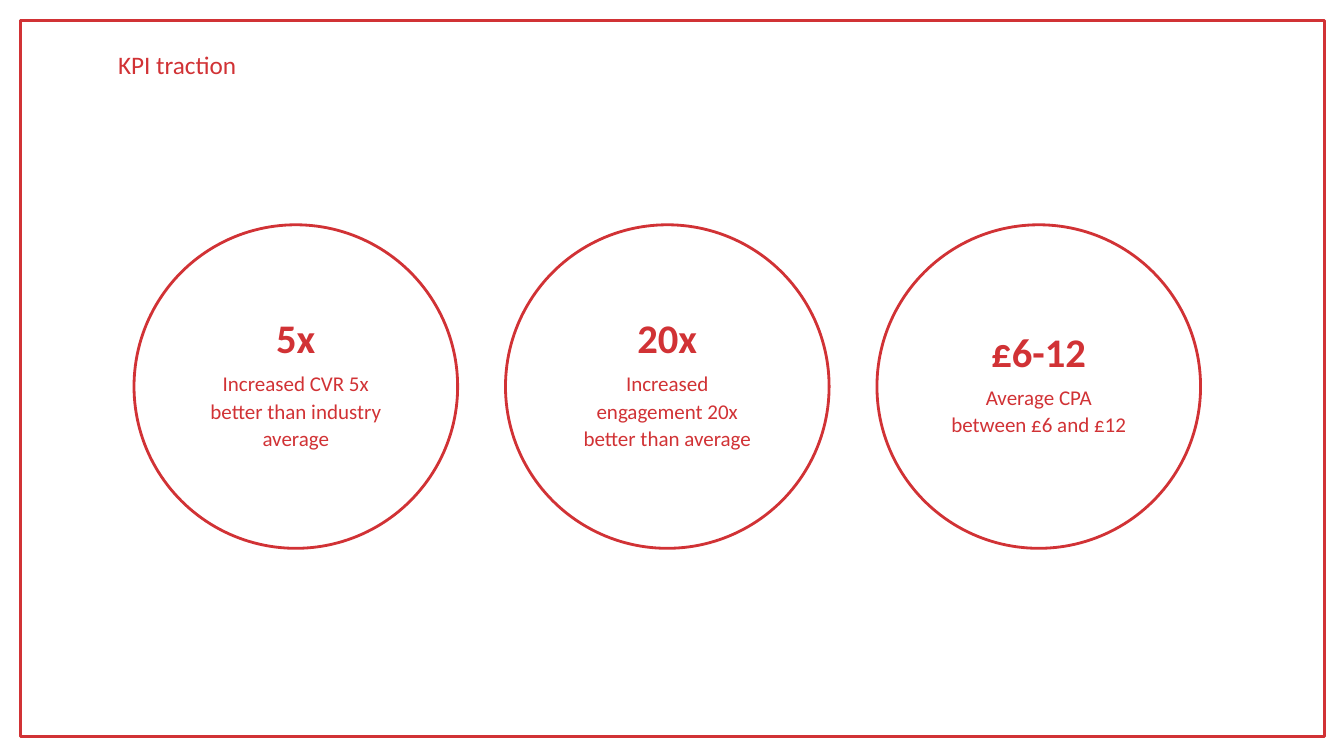
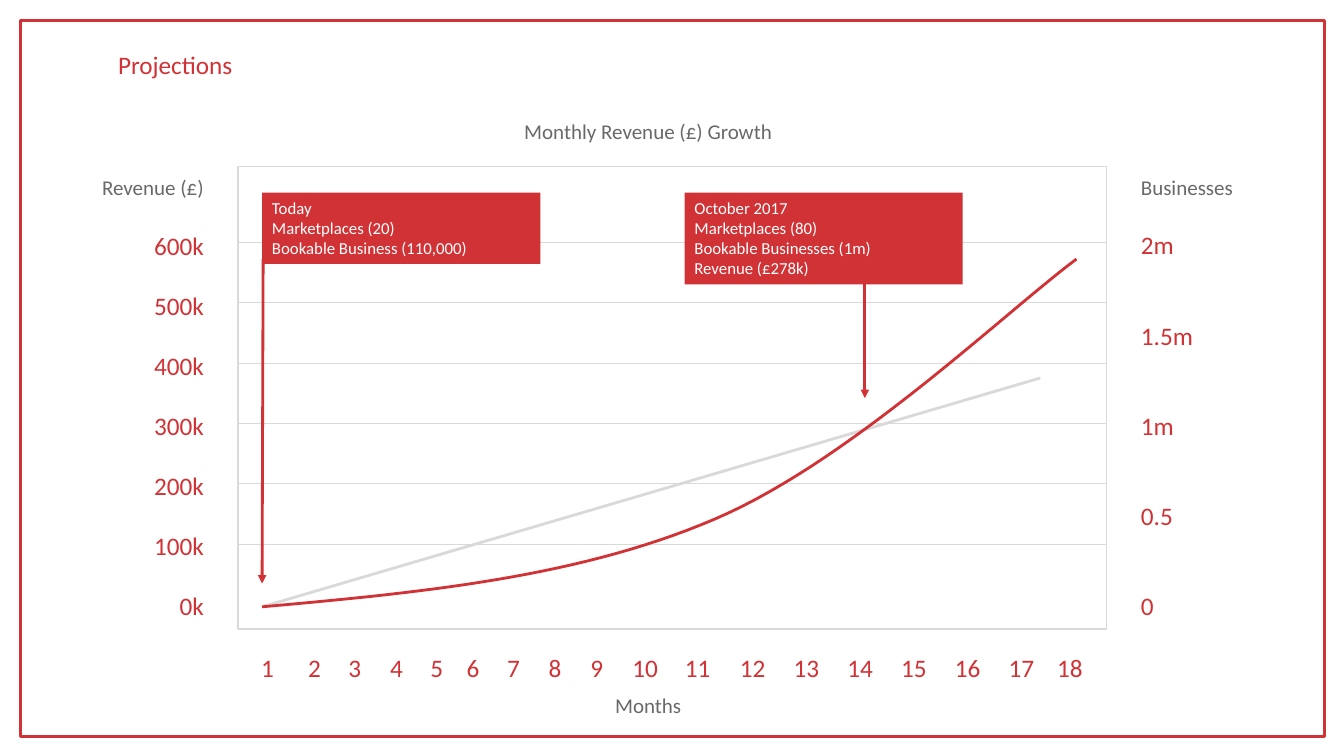
from dataclasses import dataclass

from lxml import etree
from pptx import Presentation
from pptx.dml.color import RGBColor
from pptx.enum.shapes import MSO_CONNECTOR, MSO_SHAPE
from pptx.enum.text import MSO_ANCHOR, MSO_AUTO_SIZE, PP_ALIGN
from pptx.oxml.ns import qn
from pptx.util import Inches, Pt

LEFT, CENTER, RIGHT = PP_ALIGN.LEFT, PP_ALIGN.CENTER, PP_ALIGN.RIGHT
TOP, MIDDLE = MSO_ANCHOR.TOP, MSO_ANCHOR.MIDDLE
RECT, OVAL = MSO_SHAPE.RECTANGLE, MSO_SHAPE.OVAL
STRAIGHT = MSO_CONNECTOR.STRAIGHT
NO_FIT = MSO_AUTO_SIZE.NONE


@dataclass(frozen=True)
class Theme:
    """Hold the colours, type sizes, line widths and slide size."""
    red: str = "D13235"
    pale: str = "D9D9D9"
    grey: str = "696969"
    white: str = "FFFFFF"
    font: str = "Calibri"
    big: int = 29
    head: int = 18
    body: int = 15
    small: int = 12
    bold: float = 2
    thin: float = 0.5
    wide: int = Inches(13.33)
    high: int = Inches(7.5)


THEME = Theme()

KPIS = (
    ("5x", ("Increased CVR 5x", "better than industry", "average")),
    ("20x", ("Increased", "engagement 20x", "better than average")),
    ("£6-12", ("Average CPA", "between £6 and £12")),
)
MONTHS = (19.9, 23.4, 26.4, 29.5, 32.5, 35.2, 38.2, 41.3, 44.4,
          48, 51.9, 56, 60, 64, 68, 72, 76, 79.6)
NOTES = (
    (19.5, ("Today", "Marketplaces (20)", "Bookable Business (110,000)")),
    (50.93, ("October 2017", "Marketplaces (80)",
             "Bookable Businesses (1m)", "Revenue (£278k)")),
)
ARROWS = (((19.58, 34.27), (19.5, 77.2)), ((64.35, 37.6), (64.35, 52.67)))
CURVE = (
    ((19.5, 80.27), (31.28, 78.4), (43.05, 76.4), (53.18, 68.67)),
    ((53.18, 68.67), (63.23, 61.07), (74.78, 41.33), (80.1, 34.27)),
)
PLOT = (17.7, 22, 64.65, 61.2)


def spot(x, y):
    """Turn percent shares of the slide into a point."""
    return round(THEME.wide * x / 100), round(THEME.high * y / 100)


def area(left, top, width, height):
    """Turn percent shares of the slide into a box."""
    return *spot(left, top), *spot(width, height)


def write(frame, text, size=THEME.body, color=THEME.red, bold=False,
          align=LEFT, before=None, after=None, line=None):
    """Add one formatted paragraph to a text frame."""
    para = frame.paragraphs[0]
    if para.runs:
        para = frame.add_paragraph()
        para.space_before = before
    para.alignment, para.space_after, para.line_spacing = align, after, line
    run = para.add_run()
    run.text = text
    font = run.font
    font.name, font.size, font.bold = THEME.font, Pt(size), bold
    font.color.rgb = RGBColor.from_string(color)


def stroke(item, color, width):
    """Set the colour and width of an outline."""
    item.line.color.rgb = RGBColor.from_string(color)
    item.line.width = Pt(width)


def shape(slide, kind, box, fill=None, line=None, width=THEME.bold):
    """Draw a preset shape with a plain fill and outline."""
    item = slide.shapes.add_shape(kind, *area(*box))
    item.shadow.inherit = False
    if fill:
        item.fill.solid()
        item.fill.fore_color.rgb = RGBColor.from_string(fill)
    else:
        item.fill.background()
    if line:
        stroke(item, line, width)
    else:
        item.line.fill.background()
    return item


def label(slide, box, anchor=TOP):
    """Add a wrapping text box and return its frame."""
    frame = slide.shapes.add_textbox(*area(*box)).text_frame
    frame.word_wrap, frame.vertical_anchor = True, anchor
    return frame


def rule(slide, start, end, color, width, arrow=False):
    """Draw a straight line, with an arrowhead if asked."""
    item = slide.shapes.add_connector(STRAIGHT, *spot(*start), *spot(*end))
    stroke(item, color, width)
    props = item.element.spPr
    if arrow:
        etree.SubElement(props.find(qn("a:ln")), qn("a:tailEnd"), type="triangle")
    etree.SubElement(props, qn("a:effectLst"))


def bend(nodes, part):
    """Find the point at a given part of a cubic curve."""
    rest = 1 - part
    rates = (rest ** 3, 3 * rest ** 2 * part, 3 * rest * part ** 2, part ** 3)
    return spot(*(sum(r * v for r, v in zip(rates, axis)) for axis in zip(*nodes)))


def curve(slide, parts, steps=30):
    """Draw an open smooth line through cubic parts."""
    dots = [bend(nodes, n / steps) for nodes in parts for n in range(1, steps + 1)]
    pen = slide.shapes.build_freeform(*spot(*parts[0][0]))
    pen.add_line_segments(dots, close=False)
    item = pen.convert_to_shape()
    item.shadow.inherit = False
    item.fill.background()
    stroke(item, THEME.red, THEME.bold)


def page(deck, layout, title):
    """Add a slide with its title."""
    slide = deck.slides.add_slide(layout)
    item = slide.shapes.title
    item.left, item.top, item.width, item.height = area(1.43, 2.67, 97.05, 11.73)
    frame = item.text_frame
    frame.auto_size, frame.vertical_anchor = NO_FIT, MIDDLE
    frame.margin_left, frame.margin_right = Inches(0.98), Inches(0.79)
    frame.margin_top, frame.margin_bottom = Inches(0.04), 0
    write(frame, title, size=THEME.head, line=0.9)
    return slide


def border(slide, layout):
    """Draw the red frame and move it to the layout."""
    item = shape(slide, RECT, (1.5, 2.67, 97.05, 94.8), line=THEME.red)
    layout.shapes.element.append(item.element)


def badge(slide, left, value, lines):
    """Draw a ring with a key figure and its caption."""
    ring = shape(slide, OVAL, (left, 29.73, 24.08, 42.8), line=THEME.red)
    frame = ring.text_frame
    frame.word_wrap, frame.vertical_anchor = True, MIDDLE
    frame.margin_left = frame.margin_right = Inches(0.2)
    frame.margin_top = frame.margin_bottom = Inches(0.2)
    look = {"align": CENTER, "line": 0.8}
    write(frame, value, size=THEME.big, bold=True, after=Pt(THEME.big * 0.35), **look)
    for text in lines:
        write(frame, text, after=Pt(THEME.body * 0.35), **look)


def scale(slide, left, name, ticks, gap, align):
    """Write a value axis as a heading above its ticks."""
    frame = label(slide, (left, PLOT[1], 11.78, PLOT[3]), MIDDLE)
    write(frame, name, color=THEME.grey, align=align)
    for spot_no, tick in enumerate(ticks):
        write(frame, tick, size=THEME.head, align=align,
              before=Pt(gap if spot_no else 21.3))


def note(slide, left, lines):
    """Draw a red callout as tall as its lines."""
    box = (left, 25.47, 20.7, 1.33 + 2.71 * len(lines))
    frame = shape(slide, RECT, box, fill=THEME.red).text_frame
    frame.word_wrap, frame.vertical_anchor = True, TOP
    for text in lines:
        write(frame, text, size=THEME.small, color=THEME.white)


def graph(slide):
    """Draw the plot with its axes, lines and callouts."""
    shape(slide, RECT, PLOT, THEME.white, THEME.pale, 1)
    scale(slide, 4.13, "Revenue (£)",
          [f"{n}00k" for n in range(6, 0, -1)] + ["0k"], 21.3, RIGHT)
    scale(slide, 84.15, "Businesses", ("2m", "1.5m", "1m", "0.5", "0"), 42.8, LEFT)
    for month, mid in enumerate(MONTHS, 1):
        frame = label(slide, (mid - 2.5, 85.6, 5, 5.33))
        write(frame, str(month), size=THEME.head, align=CENTER)
    for text, top in (("Months", 90.93), ("Monthly Revenue (£) Growth", 15.07)):
        frame = label(slide, (37.65, top, 21.15, 4.67))
        write(frame, text, color=THEME.grey, align=CENTER)
    for row in range(6):
        high = 32 + 8 * row
        rule(slide, (PLOT[0], high), (PLOT[0] + PLOT[2], high), THEME.pale, THEME.thin)
    rule(slide, (19.5, 80.27), (77.4, 50), THEME.pale, THEME.bold)
    curve(slide, CURVE)
    for left, lines in NOTES:
        note(slide, left, lines)
    for start, end in ARROWS:
        rule(slide, start, end, THEME.red, THEME.bold, arrow=True)


def main():
    """Build both slides and save the deck."""
    deck = Presentation()
    deck.slide_width, deck.slide_height = THEME.wide, THEME.high
    layout = deck.slide_layouts[5]
    first = page(deck, layout, "KPI traction")
    border(first, layout)
    for order, (value, lines) in enumerate(KPIS):
        badge(first, 9.97 + 27.64 * order, value, lines)
    graph(page(deck, layout, "Projections"))
    deck.save("out.pptx")


if __name__ == "__main__":
    main()
